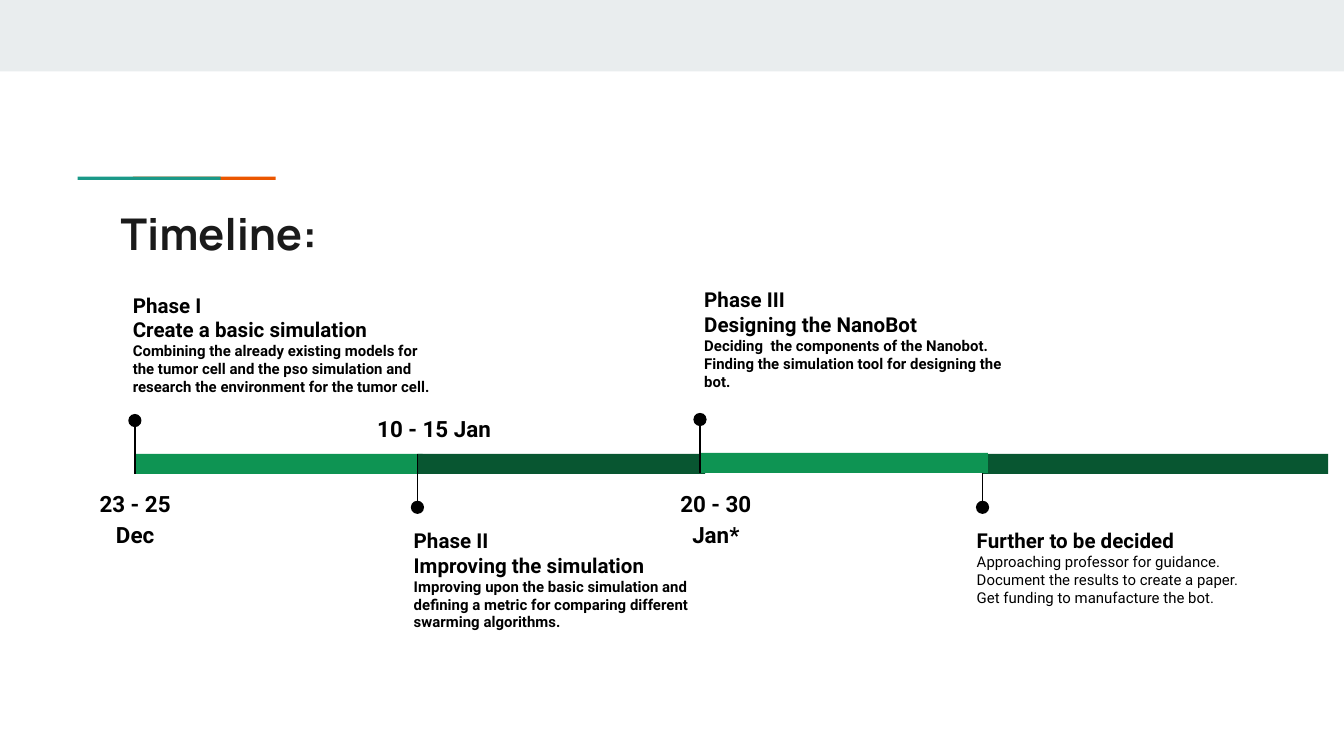
from pptx import Presentation
from pptx.dml.color import RGBColor
from pptx.enum.shapes import MSO_CONNECTOR, MSO_SHAPE
from pptx.enum.text import PP_ALIGN
from pptx.oxml.ns import qn
from pptx.util import Cm, Pt
from lxml import etree

RECT, OVAL = MSO_SHAPE.RECTANGLE, MSO_SHAPE.OVAL
LINE = MSO_CONNECTOR.STRAIGHT
LEFT, MID = PP_ALIGN.LEFT, PP_ALIGN.CENTER
BLACK, LIGHT, DARK = "000000", "0E9453", "085631"
START, STEP, TOP, THICK = 2.55, 5.34, 8.58, 0.38
REACH, DOT = 0.63, 0.25

TITLE = {"name": "Manrope", "size": Pt(23.4), "bold": True}
HEAD = {"name": "Roboto", "size": Pt(11), "bold": True}
BODY = {**HEAD, "size": Pt(8)}
PLAIN = {**BODY, "bold": False}
DATE = {**HEAD, "size": Pt(12)}

PHASES = [
    {"up": True, "lift": 0, "wide": 5.44, "hue": LIGHT, "note": (2.26, 5.28),
     "head": ["Phase I", "Create a basic simulation"], "look": BODY,
     "body": ["Combining the already existing models for the tumor cell and the "
              "pso simulation and research the environment for the tumor cell."],
     "date": ("23 - 25 Dec", 1.35, 8.94, 2.41, MID)},
    {"up": False, "lift": 0, "wide": 5.44, "hue": DARK, "note": (7.57, 9.73),
     "head": ["Phase II", "Improving the simulation"], "look": BODY,
     "body": ["Improving upon the basic simulation and defining a metric for "
              "comparing different swarming algorithms."],
     "date": ("10 - 15 Jan", 6.88, 7.52, 3.12, LEFT)},
    {"up": True, "lift": 0.02, "wide": 5.44, "hue": LIGHT, "note": (13.06, 5.18),
     "head": ["Phase III", "Designing the NanoBot"], "look": BODY,
     "body": ["Deciding  the components of the Nanobot. Finding the simulation "
              "tool for designing the bot."],
     "date": ("20 - 30 Jan*", 12.45, 8.94, 2.16, MID)},
    {"up": False, "lift": 0, "wide": 6.53, "hue": DARK, "note": (18.21, 9.73),
     "head": ["Further to be decided"], "look": PLAIN,
     "body": ["Approaching professor for guidance. Document the results to "
              "create a paper.", "Get funding to manufacture the bot."],
     "date": None},
]
ORDER = (3, 0, 1, 2)


def color(hue):
    """Turn a hex string into a colour."""
    return RGBColor.from_string(hue)


def block(slide, kind, x, y, w, h, hue):
    """Add a plain filled shape."""
    shape = slide.shapes.add_shape(kind, Cm(x), Cm(y), Cm(w), Cm(h))
    shape.shadow.inherit = False
    shape.fill.solid()
    shape.fill.fore_color.rgb = color(hue)
    shape.line.fill.background()


def stem(slide, x, y, end):
    """Add a thin upright line."""
    line = slide.shapes.add_connector(LINE, Cm(x), Cm(y), Cm(x), Cm(end))
    line.line.color.rgb = color(BLACK)
    line.line.width = Pt(0.75)
    etree.SubElement(line._element.spPr, qn("a:effectLst"))


def words(slide, x, y, w, h, rows, hue=BLACK, align=LEFT, lead=1.0):
    """Add a text box with one paragraph per (text, format) row."""
    frame = slide.shapes.add_textbox(Cm(x), Cm(y), Cm(w), Cm(h)).text_frame
    frame.word_wrap = True
    for side in ("left", "right", "top", "bottom"):
        setattr(frame, f"margin_{side}", Cm(0.25))
    for i, (text, look) in enumerate(rows):
        para = frame.add_paragraph() if i else frame.paragraphs[0]
        para.alignment, para.line_spacing = align, lead
        run = para.add_run()
        run.text = text
        run.font.color.rgb = color(hue)
        for key, value in look.items():
            setattr(run.font, key, value)


def phase(slide, i, item):
    """Add one stretch of the timeline with its pin, note and date."""
    x, y = START + STEP * i, TOP - item["lift"]
    low = y + THICK
    block(slide, RECT, x, y, item["wide"], THICK, item["hue"])
    tip, end = (y - REACH, low) if item["up"] else (low + REACH, y)
    stem(slide, x, tip, end)
    block(slide, OVAL, x - DOT / 2, tip - DOT / 2, DOT, DOT, BLACK)
    rows = [(text, HEAD) for text in item["head"]]
    rows += [(text, item["look"]) for text in item["body"]]
    words(slide, *item["note"], 6.25, 2.5, rows)
    if item["date"]:
        text, left, top, wide, align = item["date"]
        words(slide, left, top, wide, 1.04, [(text, DATE)], align=align, lead=1.15)


def main():
    """Build the timeline slide."""
    deck = Presentation()
    deck.slide_width, deck.slide_height = Cm(25.4), Cm(14.29)
    slide = deck.slides.add_slide(deck.slide_layouts[6])
    block(slide, RECT, 0, 0, 25.4, 1.35, "E9EDEE")
    for x, hue in ((2.51, "EB5600"), (1.47, "1A9988")):
        block(slide, RECT, x, 3.34, 2.7, 0.06, hue)
    words(slide, 2.03, 3.66, 21.36, 1.5, [("Timeline:", TITLE)], "1A1A1A")
    for i in ORDER:
        phase(slide, i, PHASES[i])
    deck.save("out.pptx")


if __name__ == "__main__":
    main()
